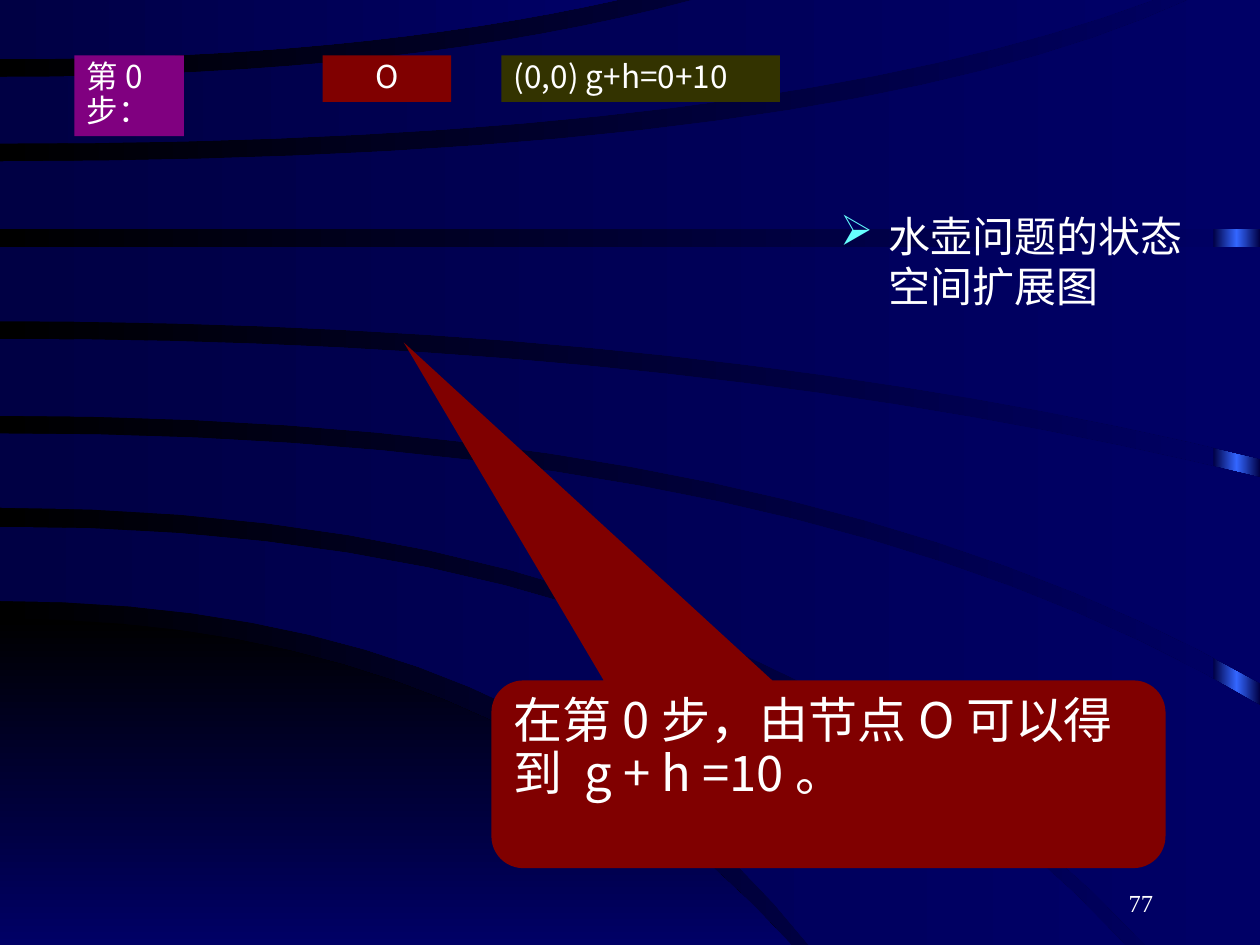
from copy import deepcopy

from lxml import etree
from pptx import Presentation
from pptx.dml.color import RGBColor
from pptx.enum.shapes import MSO_SHAPE
from pptx.enum.text import MSO_ANCHOR, PP_ALIGN
from pptx.oxml.ns import qn
from pptx.util import Inches, Pt

RECTANGLE = MSO_SHAPE.RECTANGLE
CALLOUT = MSO_SHAPE.ROUNDED_RECTANGULAR_CALLOUT
LEFT, CENTER, RIGHT = PP_ALIGN.LEFT, PP_ALIGN.CENTER, PP_ALIGN.RIGHT
TOP, BOTTOM = MSO_ANCHOR.TOP, MSO_ANCHOR.BOTTOM
CJK_FONT = "Noto Sans CJK SC"
NUMBER_FONT = "Times New Roman"
COLORS = {
    "black": "000000",
    "navy": "000066",
    "dark_navy": "000044",
    "glow": "3366FF",
    "white": "FFFFFF",
    "bullet": "66FFFF",
    "red": "800000",
    "olive": "333300",
    "purple": "800080",
}

# start_y, bend_x, end_x, end_y
CORNER = ((4.91, 3.93, 6.28, 7.5), (7.5, 3, 6.28, 7.5))
BANDS = [
    ((4.18, 5.87, 8.93, 7.5), (4.77, 4.25, 6.42, 7.5)),
    ((3.44, 6.4, 10, 5.6), (4.03, 5.87, 9.09, 7.5)),
    ((2.69, 5.54, 10, 3.79), (3.3, 6.3, 10, 5.42)),
    ((1.96, 5, 10, 1.96), (2.55, 5.6, 10, 3.64)),
    ((1.28, 6.65, 9.43, 0), (1.82, 5, 10, 1.82)),
    ((0.61, 3.25, 5.5, 0), (1.14, 6.1, 9.15, 0)),
    ((0, 2, 4.9, 0), (0.47, 2.8, 4.9, 0)),
]
CURVE_STEPS = 16


def rgb(name):
    return RGBColor.from_string(COLORS[name])


def fill_gradient(fill, start, end, angle=0):
    fill.gradient()
    fill.gradient_angle = angle
    for stop, name, position in zip(fill.gradient_stops, (start, end), (0, 1)):
        stop.color.rgb = rgb(name)
        stop.position = position


def clear_outline(shape):
    shape.line.fill.background()
    shape.shadow.inherit = False


def edge_points(start_y, bend_x, end_x, end_y):
    points = []
    for step in range(CURVE_STEPS + 1):
        t = step / CURVE_STEPS
        x = 2 * t * (1 - t) * bend_x + t * t * end_x
        points.append((x, start_y + t * t * (end_y - start_y)))
    return points


def add_band(slide, box, edges, start, end, angle=0):
    left, top = box[:2]
    upper, lower = (edge_points(*edge) for edge in edges)
    upper_end, lower_end = upper[-1], lower[-1]
    if upper_end[0] < lower_end[0]:
        corner = (lower_end[0], upper_end[1])
    else:
        corner = (upper_end[0], lower_end[1])
    outline = [(Inches(left + x), Inches(top + y))
               for x, y in upper + [corner] + lower[::-1]]
    builder = slide.shapes.build_freeform(*outline[0])
    builder.add_line_segments(outline[1:])
    shape = builder.convert_to_shape()
    fill_gradient(shape.fill, start, end, angle)
    clear_outline(shape)


def add_glow_strip(slide, box):
    strip = slide.shapes.add_shape(RECTANGLE, *map(Inches, box))
    fill_gradient(strip.fill, "dark_navy", "glow")
    clear_outline(strip)
    strip.fill.gradient_stops[1].position = 0.5
    stops = strip._element.spPr.find(qn("a:gradFill")).find(qn("a:gsLst"))
    last = deepcopy(stops[0])
    last.set("pos", "100000")
    stops.append(last)


def add_backdrop(slide, box):
    left, top, width, height = box
    fill_gradient(slide.background.fill, "black", "navy")
    add_glow_strip(slide, (left + width - 0.37, top, 0.37, height))
    add_band(slide, box, CORNER, "black", "navy", 270)
    for edges in BANDS:
        add_band(slide, box, edges, "dark_navy", "navy")


def write_text(shape, text, size, alignment=LEFT, anchor=TOP, spacing=None,
               font=CJK_FONT, bullet=None):
    frame = shape.text_frame
    frame.word_wrap = True
    frame.vertical_anchor = anchor
    paragraph = frame.paragraphs[0]
    paragraph.text = text
    paragraph.alignment = alignment
    if spacing:
        paragraph.line_spacing = spacing
    properties = paragraph._p.get_or_add_pPr()
    if bullet:
        properties.set("marL", str(Inches(0.38)))
        properties.set("indent", str(-Inches(0.38)))
        color = etree.SubElement(properties, qn("a:buClr"))
        etree.SubElement(color, qn("a:srgbClr"), val=COLORS["bullet"])
        etree.SubElement(properties, qn("a:buChar"), char=bullet)
    paragraph.font.name = font
    paragraph.font.size = Pt(size)
    paragraph.font.color.rgb = rgb("white")
    defaults = properties.find(qn("a:defRPr"))
    etree.SubElement(defaults, qn("a:ea"), typeface=font)


def add_panel(slide, kind, box, color, text, size, alignment=LEFT):
    panel = slide.shapes.add_shape(kind, *map(Inches, box))
    panel.fill.solid()
    panel.fill.fore_color.rgb = rgb(color)
    clear_outline(panel)
    write_text(panel, text, size, alignment, spacing=0.9)
    return panel


def add_step_row(slide, box):
    left, top = box[:2]
    labels = [
        (0, 0.87, 0.64, "purple", "第0步：", LEFT),
        (1.97, 1.02, 0.37, "red", "O", CENTER),
        (3.39, 2.21, 0.37, "olive", "(0,0) g+h=0+10", LEFT),
    ]
    for offset, width, height, color, text, alignment in labels:
        add_panel(slide, RECTANGLE, (left + offset, top, width, height),
                  color, text, 18, alignment)


def add_callout(slide, box):
    callout = add_panel(slide, CALLOUT, box, "red",
                        "在第0步，由节点O可以得到 g + h =10。", 28)
    for index, value in enumerate((-0.63, -2.3, 0.17)):
        callout.adjustments[index] = value


def add_caption(slide, box):
    caption = slide.shapes.add_textbox(*map(Inches, box))
    write_text(caption, "水壶问题的状态空间扩展图", 24, bullet="➢")


def add_page_number(slide, box):
    number = slide.shapes.add_textbox(*map(Inches, box))
    write_text(number, "77", 14, RIGHT, BOTTOM, font=NUMBER_FONT)


def main():
    presentation = Presentation()
    presentation.slide_width = Inches(10)
    presentation.slide_height = Inches(7.5)
    slide = presentation.slides.add_slide(presentation.slide_layouts[6])
    add_backdrop(slide, (0, 0, 10, 7.5))
    add_page_number(slide, (7.17, 6.83, 2.08, 0.5))
    add_caption(slide, (6.57, 1.62, 2.95, 1.26))
    add_callout(slide, (3.9, 5.4, 5.35, 1.49))
    add_step_row(slide, (0.59, 0.44, 5.6, 0.64))
    presentation.save("out.pptx")


if __name__ == "__main__":
    main()
